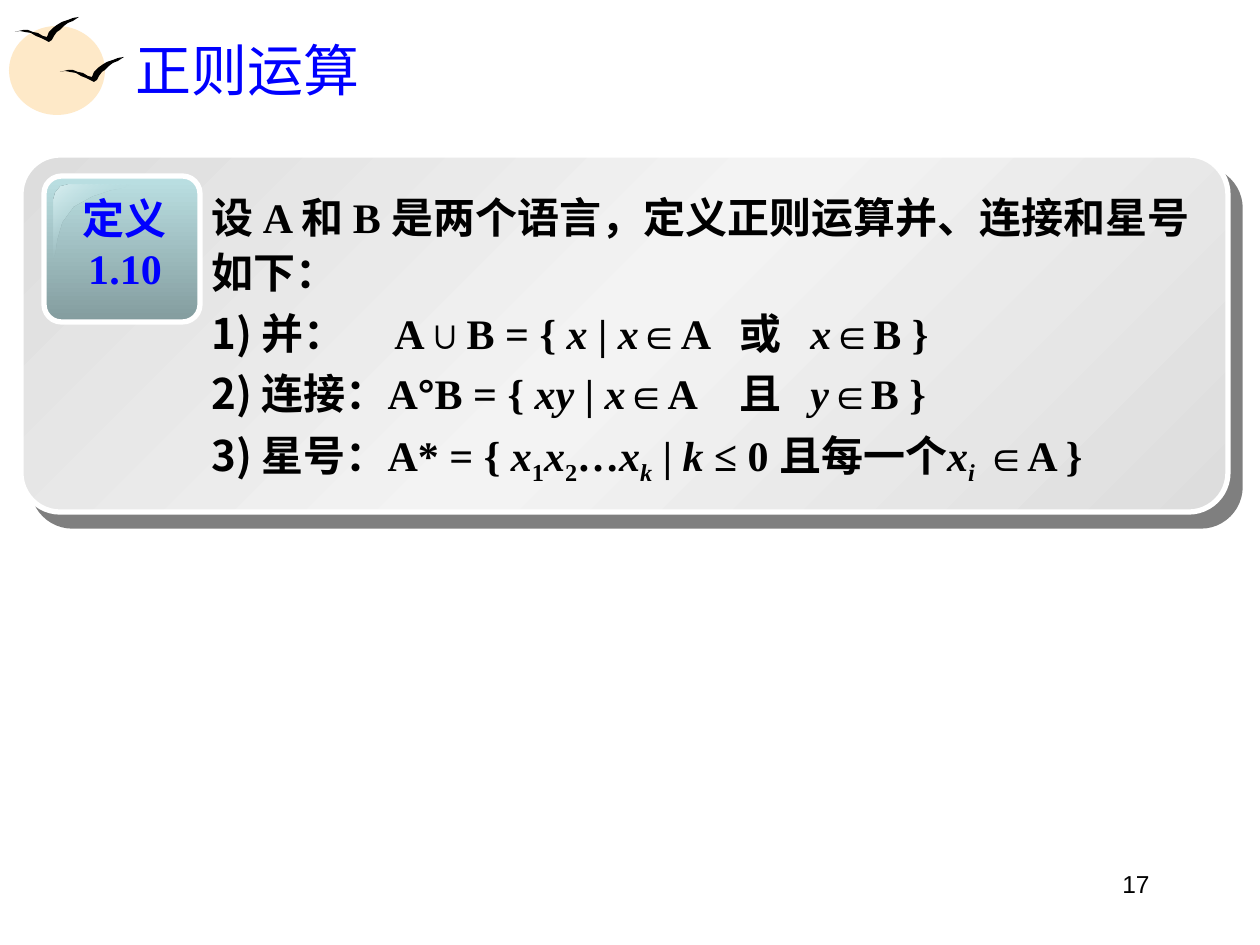
from lxml import etree
from pptx import Presentation
from pptx.dml.color import RGBColor
from pptx.enum.shapes import MSO_SHAPE
from pptx.enum.text import MSO_ANCHOR, PP_ALIGN
from pptx.oxml import parse_xml
from pptx.oxml.ns import nsdecls, qn
from pptx.util import Pt

ELLIPSE, ROUNDED = MSO_SHAPE.OVAL, MSO_SHAPE.ROUNDED_RECTANGLE
LEFT, CENTER, RIGHT = PP_ALIGN.LEFT, PP_ALIGN.CENTER, PP_ALIGN.RIGHT
PX = 914400 / 126


def rgb(value):
    return RGBColor.from_string(value)


def paint(sp, stops, angle):
    sp.shadow.inherit = False
    sp.fill.gradient()
    grad = sp._element.spPr.find(qn("a:gradFill"))
    stop_xml = "".join(
        f'<a:gs pos="{pos * 1000}"><a:srgbClr val="{color}">'
        f'<a:alpha val="{alpha * 1000}"/></a:srgbClr></a:gs>'
        for pos, color, alpha in stops)
    grad.getparent().replace(grad, parse_xml(
        f'<a:gradFill {nsdecls("a")} rotWithShape="1"><a:gsLst>{stop_xml}</a:gsLst>'
        f'<a:lin ang="{angle * 60000}" scaled="0"/></a:gradFill>'))


prs = Presentation()
prs.slide_width, prs.slide_height = round(1260 * PX), round(945 * PX)
s = prs.slides.add_slide(prs.slide_layouts[5])
shapes = s.shapes

for box in [(9, 26, 96, 89), (25, 35, 79, 69)]:
    sp = shapes.add_shape(ELLIPSE, *[round(v * PX) for v in box])
    sp.shadow.inherit = False
    sp.fill.solid()
    sp.fill.fore_color.rgb = rgb("FEE9C8")
    sp.line.fill.background()

bird = [(0, 15), (4, 14), (8, 13), (13, 13), (18, 15), (23, 16), (28, 19), (32, 20),
        (34, 15), (38, 11), (42, 8), (47, 5), (53, 3), (58, 1), (64, 0), (58, 4),
        (53, 6), (49, 9), (45, 13), (42, 15), (39, 19), (37, 23), (34, 25), (30, 23),
        (26, 21), (21, 19), (16, 16), (10, 15), (5, 14)]
for left, top in [(60, 57), (15, 17)]:
    points = [(left + x, top + y) for x, y in bird]
    builder = shapes.build_freeform(*points[0], scale=PX)
    builder.add_line_segments(points[1:], close=True)
    sp = builder.convert_to_shape()
    sp.shadow.inherit = False
    sp.fill.solid()
    sp.fill.fore_color.rgb = rgb("000000")
    sp.line.fill.background()

title = shapes.title
title.left, title.top, title.width, title.height = [round(v * PX) for v in (123, 26, 1075, 87)]
tf = title.text_frame
tf.text = "正则运算"
tf.vertical_anchor = MSO_ANCHOR.MIDDLE
p = tf.paragraphs[0]
p.alignment = LEFT
font = p.runs[0].font
font.name, font.size = "Times New Roman", Pt(32)
font.color.rgb = rgb("0000FF")

panels = [
    ((21, 155, 1207, 357), 0.11, [(0, "DDDDDD", 100), (50, "F3F3F3", 100), (100, "DDDDDD", 100)], 45),
    ((44, 176, 156, 146), 0.12, [(0, "BBE0E3", 100), (100, "839C9E", 100)], 90),
]
for box, corner, stops, angle in panels:
    sp = shapes.add_shape(ROUNDED, *[round(v * PX) for v in box])
    sp.adjustments[0] = corner
    paint(sp, stops, angle)
    sp.line.color.rgb = rgb("FFFFFF")
    sp.line.width = Pt(3)
    if angle == 45:
        effects = sp._element.spPr.find(qn("a:effectLst"))
        shadow = etree.SubElement(effects, qn("a:outerShdw"), blurRad="0",
                                  dist=str(Pt(10.6)), dir=str(49 * 60000),
                                  algn="ctr", rotWithShape="0")
        color = etree.SubElement(shadow, qn("a:srgbClr"), val="000000")
        etree.SubElement(color, qn("a:alpha"), val="50000")

gloss = [(69, 185), (61, 187), (56, 193), (54, 200), (54, 258), (56, 253), (58, 239),
         (63, 222), (74, 207), (92, 197), (110, 191), (125, 188), (130, 185)]
builder = shapes.build_freeform(*gloss[0], scale=PX)
builder.add_line_segments(gloss[1:], close=True)
sp = builder.convert_to_shape()
paint(sp, [(0, "DAEEF0", 100), (50, "BBE0E3", 0), (100, "DAEEF0", 100)], 45)
sp.line.fill.background()

labels = [
    ((868, 863, 294, 66), ["17"], RIGHT, "Arial", 14, False, "000000"),
    ((66, 186, 118, 113), ["定义", "1.10"], CENTER, "Times New Roman", 24, True, "0000FF"),
]
for box, lines, align, face, size, bold, color in labels:
    tf = shapes.add_textbox(*[round(v * PX) for v in box]).text_frame
    tf.word_wrap = True
    tf.text = "\n".join(lines)
    for p in tf.paragraphs:
        p.alignment = align
        font = p.runs[0].font
        font.name, font.size, font.bold = face, Pt(size), bold
        font.color.rgb = rgb(color)

definition = [
    [("设 A 和 B 是两个语言，定义正则运算并、连接和星号如下：", "")],
    [(" 并：\tA∪B = { ", ""), ("x", "i"), (" | ", ""), ("x", "i"), ("∈A\t或\t", ""),
     ("x", "i"), ("∈B }", "")],
    [(" 连接：A", ""), ("°", "arial"), ("B = { ", ""), ("xy", "i"), (" | ", ""),
     ("x", "i"), ("∈A\t且\t", ""), ("y", "i"), ("∈B }", "")],
    [(" 星号：A* = { ", ""), ("x", "i"), ("1", "sub"), ("x", "i"), ("2", "sub"), ("…", ""),
     ("x", "i"), ("k", "i sub"), (" | ", ""), ("k", "i"), (" ≤ 0 且每一个", ""),
     ("x", "i"), ("i", "i sub"), (" ∈A }", "")],
]
tf = shapes.add_textbox(*[round(v * PX) for v in (199, 180, 1008, 314)]).text_frame
tf.word_wrap = True
for i, runs in enumerate(definition):
    p = tf.paragraphs[0] if i == 0 else tf.add_paragraph()
    p.line_spacing = 1.1
    if i:
        p.space_before = Pt(3)
        pPr = p._p.get_or_add_pPr()
        pPr.set("marL", "0")
        pPr.set("indent", "0")
        etree.SubElement(pPr, qn("a:buAutoNum"), type="arabicParenR")
        tabs = etree.SubElement(pPr, qn("a:tabLst"))
        for stop in (183, 528, 599):
            etree.SubElement(tabs, qn("a:tab"), pos=str(round(stop * PX)), algn="l")
    for text, style in runs:
        marks = style.split()
        r = p.add_run()
        r.text = text
        font = r.font
        font.name = "Arial" if "arial" in marks else "Times New Roman"
        font.size, font.bold, font.italic = Pt(24), True, "i" in marks
        font.color.rgb = rgb("000000")
        if "sub" in marks:
            r._r.get_or_add_rPr().set("baseline", "-25000")

prs.save("out.pptx")
